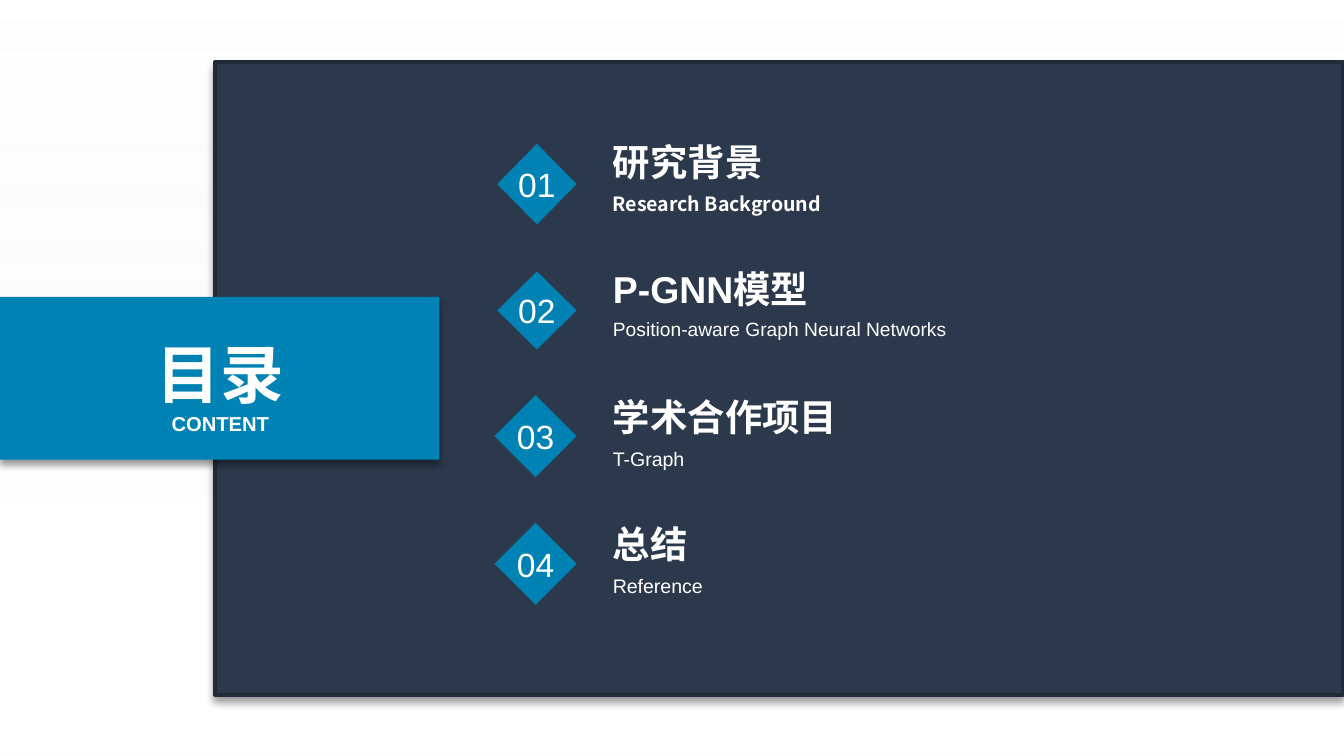
from dataclasses import dataclass

from lxml.etree import SubElement
from pptx import Presentation
from pptx.dml.color import RGBColor
from pptx.enum.shapes import MSO_SHAPE as Preset
from pptx.enum.text import MSO_ANCHOR as Anchor, MSO_AUTO_SIZE as AutoSize, PP_ALIGN as Align
from pptx.oxml.ns import qn
from pptx.shapes.autoshape import Shape
from pptx.slide import Slide
from pptx.util import Inches, Pt

COLORS = {
    "white": "FFFFFF",
    "mist": "F2F2F2",
    "navy": "2C394C",
    "navy_edge": "212A38",
    "blue": "0083B4",
    "shadow": "000000",
}
LATIN_FONT = "Arial"
CHINESE_FONT = "Noto Sans CJK SC"
FIRST_TOP, LAST_TOP = 1.17, 4.01
TEXT_LEFT, TEXT_WIDTH = 4.17, 3.25


@dataclass
class Area:
    left: float
    top: float
    width: float
    height: float

    def lengths(self) -> list[Inches]:
        return [Inches(v) for v in (self.left, self.top, self.width, self.height)]


@dataclass
class TextStyle:
    size: float
    bold: bool = False
    font: str = LATIN_FONT
    align: Align = Align.LEFT
    spacing: float = 1.0


@dataclass
class Entry:
    heading: str
    subtitle: str
    diamond: Area
    style: TextStyle


ENTRIES = [
    Entry("研究背景", "Research Background", Area(3.7, 1.07, 0.59, 0.6),
          TextStyle(10.5, True, CHINESE_FONT, spacing=1.2)),
    Entry("P-GNN模型", "Position-aware Graph Neural Networks", Area(3.7, 2.02, 0.59, 0.58),
          TextStyle(10.25)),
    Entry("学术合作项目", "T-Graph", Area(3.68, 2.94, 0.61, 0.61),
          TextStyle(10.5, spacing=1.2)),
    Entry("总结", "Reference", Area(3.68, 3.89, 0.61, 0.61),
          TextStyle(10.5, spacing=1.2)),
]
PITCH = (LAST_TOP - FIRST_TOP) / (len(ENTRIES) - 1)


def color(name: str) -> RGBColor:
    return RGBColor.from_string(COLORS[name])


def write(box: Shape, text: str, style: TextStyle, anchor: Anchor,
          margins: tuple[float, float, float, float]) -> None:
    frame = box.text_frame
    frame.text = text
    frame.word_wrap = True
    frame.auto_size = AutoSize.NONE
    frame.vertical_anchor = anchor
    (frame.margin_left, frame.margin_top,
     frame.margin_right, frame.margin_bottom) = [Inches(m) for m in margins]
    para = frame.paragraphs[0]
    para.alignment = style.align
    para.line_spacing = style.spacing
    span = para.runs[0]
    span.font.size = Pt(style.size)
    span.font.bold = style.bold
    span.font.name = style.font
    span.font.color.rgb = color("white")
    SubElement(span.font._element, qn("a:ea"), typeface=CHINESE_FONT)


def add_text(slide: Slide, area: Area, text: str, style: TextStyle, anchor: Anchor,
             margins: tuple[float, float, float, float]) -> None:
    write(slide.shapes.add_textbox(*area.lengths()), text, style, anchor, margins)


def add_block(slide: Slide, preset: Preset, area: Area, fill: str) -> Shape:
    block = slide.shapes.add_shape(preset, *area.lengths())
    block.fill.solid()
    block.fill.fore_color.rgb = color(fill)
    block.line.fill.background()
    block.shadow.inherit = False
    return block


def add_shadow(block: Shape) -> None:
    effects = block._element.spPr.find(qn("a:effectLst"))
    shadow = SubElement(effects, qn("a:outerShdw"), blurRad=str(Pt(4)), dist=str(Pt(3)),
                        dir="5400000", algn="t", rotWithShape="0")
    tint = SubElement(shadow, qn("a:srgbClr"), val=COLORS["shadow"])
    SubElement(tint, qn("a:alpha"), val="40000")


def add_backdrop(slide: Slide) -> None:
    backdrop = add_block(slide, Preset.RECTANGLE, Area(0, 0, 10, 5.63), "white")
    backdrop.fill.gradient()
    backdrop.fill.gradient_angle = 270
    stops = backdrop.fill.gradient_stops
    for stop, name, position in zip(stops, ("white", "mist"), (0, 0.71)):
        stop.color.rgb = color(name)
        stop.position = position
    tints = backdrop._element.spPr.iter(qn("a:srgbClr"))
    for tint, alpha in zip(list(tints), ("55000", "0")):
        SubElement(tint, qn("a:alpha"), val=alpha)


def add_entry(slide: Slide, index: int, entry: Entry) -> None:
    diamond = add_block(slide, Preset.DIAMOND, entry.diamond, "blue")
    write(diamond, f"{index + 1:02d}", TextStyle(18, align=Align.CENTER),
          Anchor.MIDDLE, (0, 0, 0, 0))
    diamond.text_frame.word_wrap = False
    top = FIRST_TOP + index * PITCH
    indent = (0.39, 0, 0, 0)
    add_text(slide, Area(TEXT_LEFT, top, TEXT_WIDTH, 0.2), entry.heading,
             TextStyle(20, True), Anchor.BOTTOM, indent)
    add_text(slide, Area(TEXT_LEFT, top + 0.2, TEXT_WIDTH, 0.26), entry.subtitle,
             entry.style, Anchor.MIDDLE, indent)


def add_banner(slide: Slide) -> None:
    add_shadow(add_block(slide, Preset.RECTANGLE, Area(0, 2.21, 3.27, 1.21), "blue"))
    margins = (0.1, 0.05, 0.1, 0.05)
    title = slide.shapes.title
    title.left, title.top, title.width, title.height = Area(1.06, 2.44, 1.16, 0.63).lengths()
    write(title, "目录", TextStyle(34.1, True, align=Align.CENTER), Anchor.TOP, margins)
    slide.shapes._spTree.append(title._element)
    add_text(slide, Area(1.06, 3.01, 1.16, 0.25), "CONTENT",
             TextStyle(10.8, True, align=Align.CENTER), Anchor.TOP, margins)


def main() -> None:
    deck = Presentation()
    deck.slide_width = Inches(10)
    deck.slide_height = deck.slide_width * 9 // 16
    page = deck.slides.add_slide(deck.slide_layouts[5])
    add_backdrop(page)
    panel = add_block(page, Preset.RECTANGLE, Area(1.6, 0.46, 8.39, 4.71), "navy")
    panel.line.color.rgb = color("navy_edge")
    panel.line.width = Pt(2)
    add_shadow(panel)
    for index, entry in enumerate(ENTRIES):
        add_entry(page, index, entry)
    add_banner(page)
    deck.save("out.pptx")


if __name__ == "__main__":
    main()
